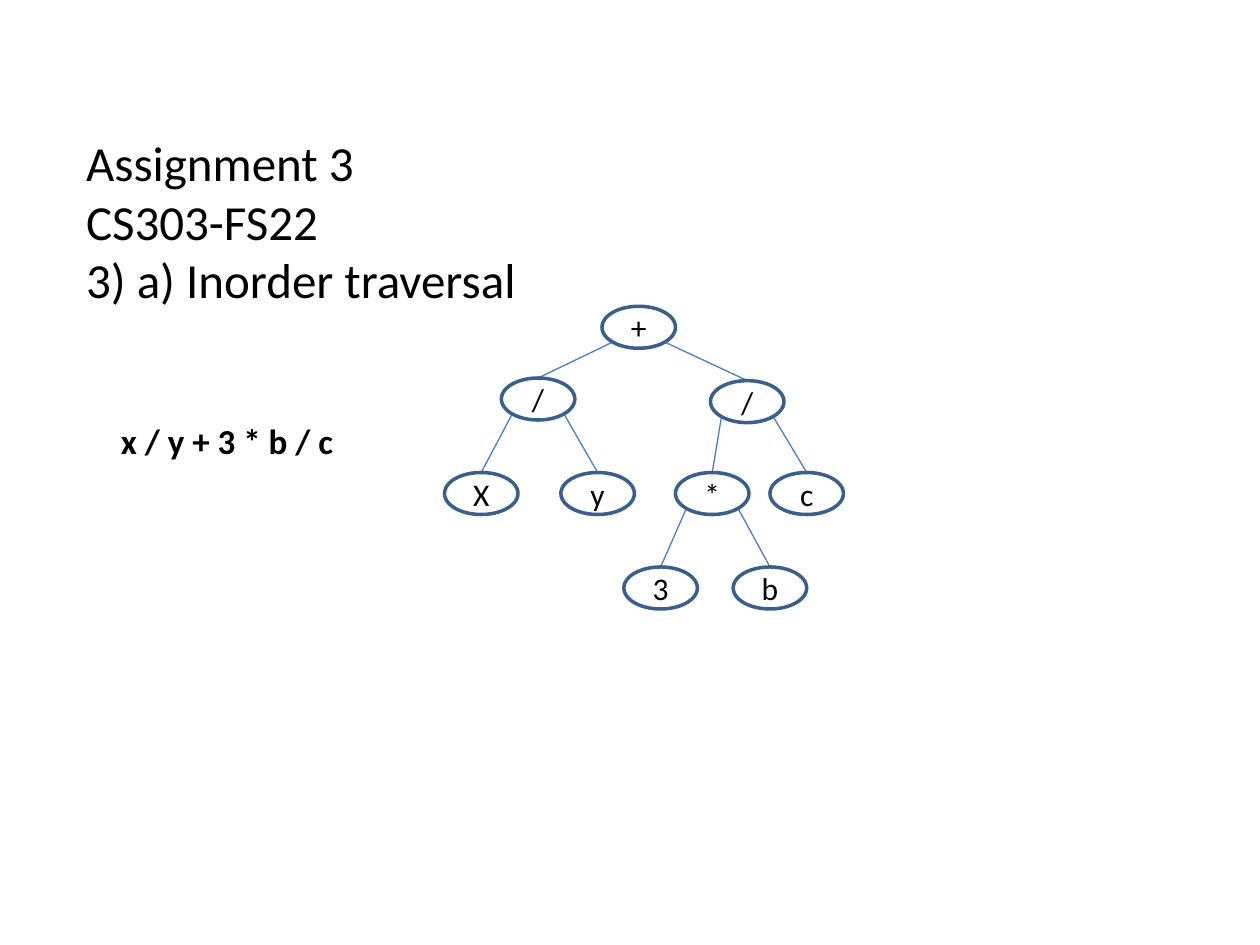
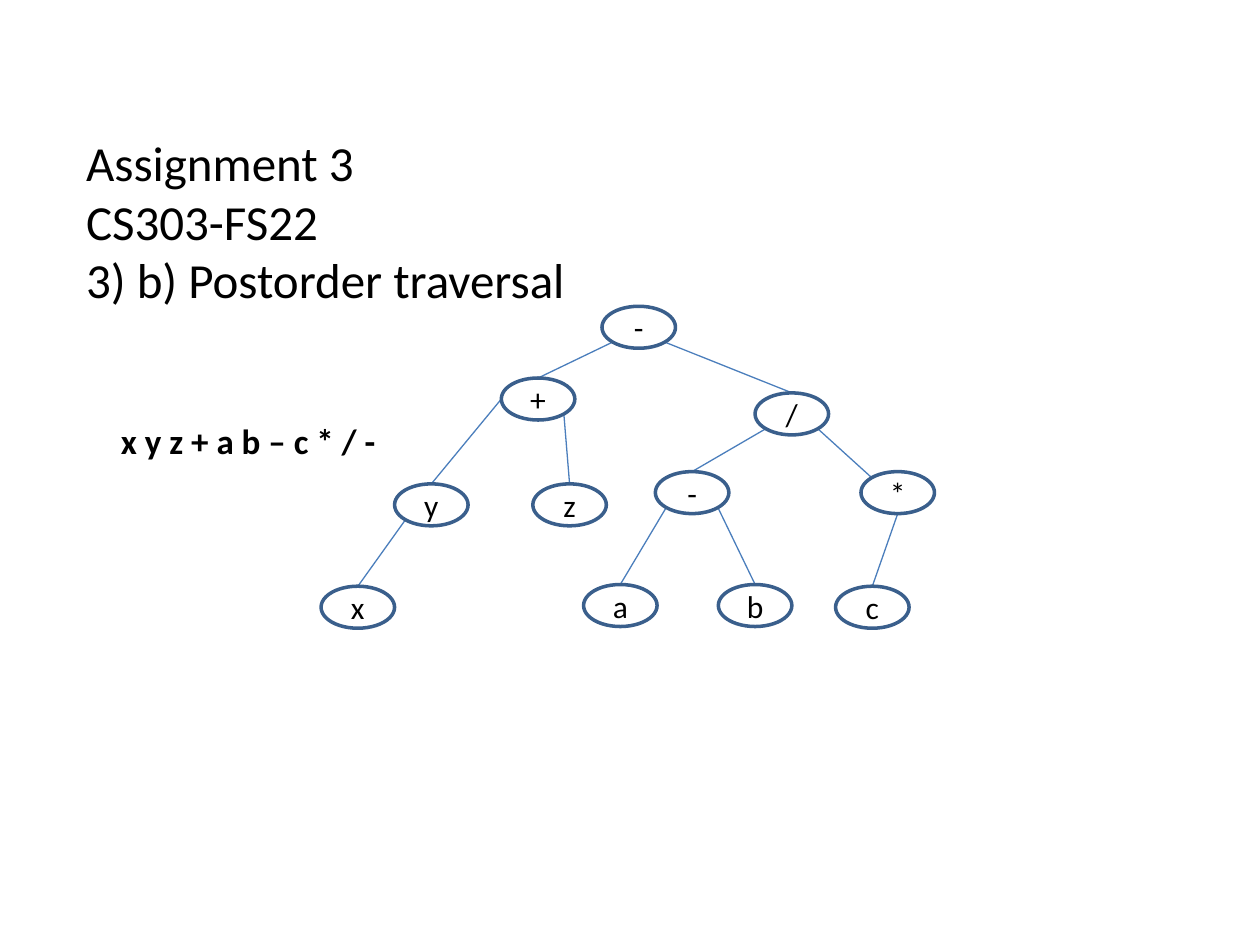
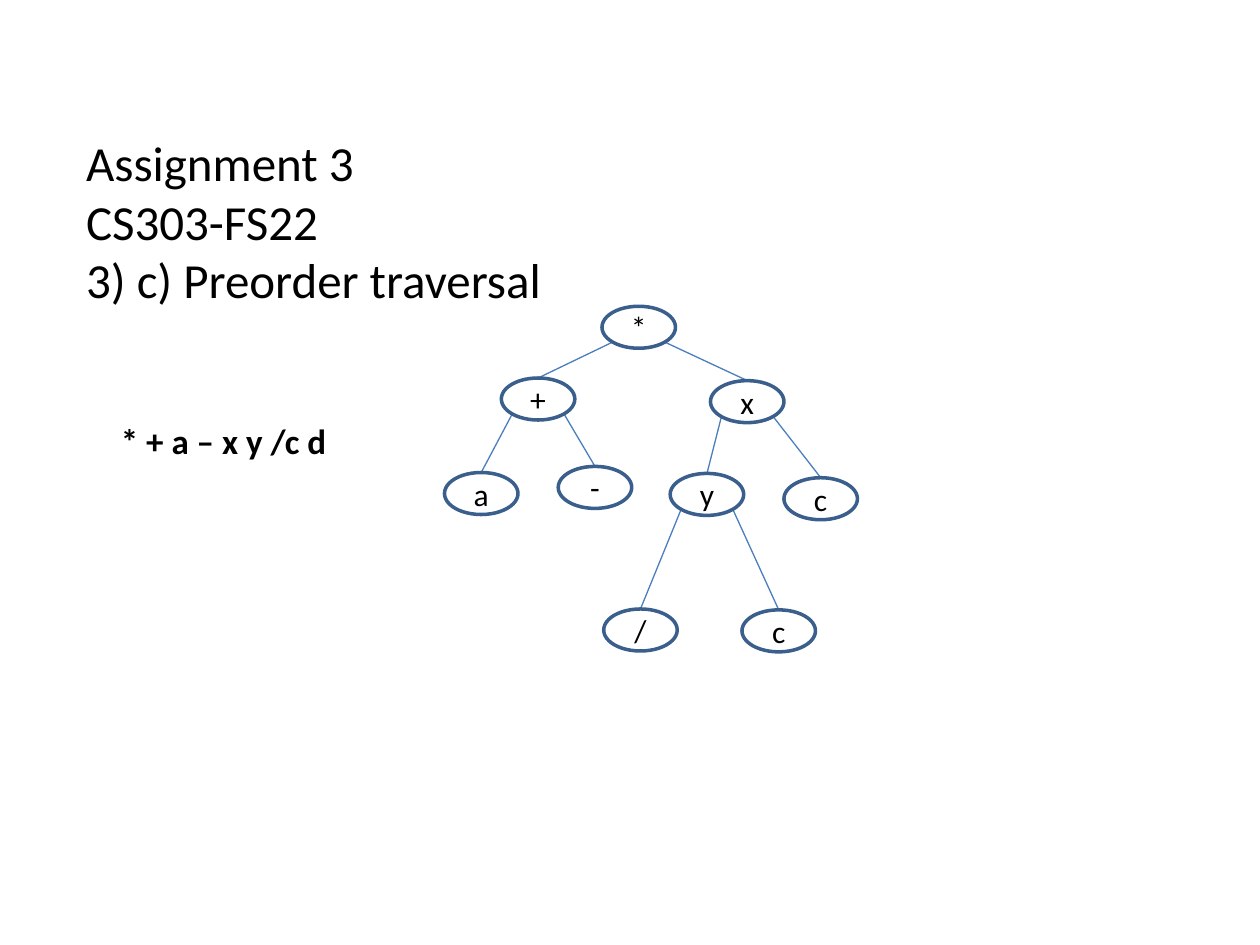
from pptx import Presentation
from pptx.dml.color import RGBColor
from pptx.enum.shapes import MSO_CONNECTOR, MSO_SHAPE
from pptx.enum.text import MSO_ANCHOR, MSO_AUTO_SIZE, PP_ALIGN
from pptx.oxml.ns import qn
from pptx.util import Pt
from lxml import etree

ELLIPSE = MSO_SHAPE.OVAL
STRAIGHT = MSO_CONNECTOR.STRAIGHT
LEFT, CENTER = PP_ALIGN.LEFT, PP_ALIGN.CENTER
TOP, MIDDLE = MSO_ANCHOR.TOP, MSO_ANCHOR.MIDDLE
FIT_SHAPE = MSO_AUTO_SIZE.SHAPE_TO_FIT_TEXT

BLACK = RGBColor(0x00, 0x00, 0x00)
NODE_BLUE = RGBColor(0x3A, 0x5F, 0x8C)
EDGE_BLUE = RGBColor(0x4B, 0x7E, 0xBC)
FONT = "Calibri"
TITLE_ONLY = 5

NODE_WIDTH, NODE_HEIGHT = 42, 24
PORTS = {
    "top": (0.5, 0),
    "upper left": (0.15, 0.15),
    "left": (0, 0.5),
    "lower left": (0.15, 0.85),
    "bottom": (0.5, 1),
    "lower right": (0.85, 0.85),
}

# Each node: label, left, top, parent index, parent port, own port
TREES = [
    ("3) a) Inorder traversal", 263, "x / y + 3 * b / c", 137, [
        ("+", 344, 175, None, None, None),
        ("/", 286.5, 216, 0, "lower left", "top"),
        ("/", 406, 217.5, 0, "lower right", "top"),
        ("X", 254, 270, 1, "lower left", "top"),
        ("y", 320.5, 270, 1, "lower right", "top"),
        ("*", 386, 270, 2, "lower left", "top"),
        ("c", 440, 270, 2, "lower right", "top"),
        ("3", 356.5, 324, 5, "lower left", "top"),
        ("b", 419, 324, 5, "lower right", "top"),
    ]),
    ("3) b) Postorder traversal", 291, "x y z + a b – c * / -", 161, [
        ("-", 344, 175, None, None, None),
        ("+", 286.5, 216, 0, "lower left", "top"),
        ("/", 431.5, 224.5, 0, "lower right", "top"),
        ("y", 225.5, 276.5, 1, "left", "top"),
        ("z", 304.5, 276.5, 1, "lower right", "top"),
        ("-", 374.5, 269.5, 2, "lower left", "top"),
        ("*", 492, 269.5, 2, "lower right", "upper left"),
        ("x", 183.5, 335, 3, "lower left", "top"),
        ("a", 333.5, 334, 5, "lower left", "top"),
        ("b", 410.5, 334, 5, "lower right", "top"),
        ("c", 477.5, 335, 6, "bottom", "top"),
    ]),
    ("3) c) Preorder traversal", 277, "* + a – x y /c d", 133, [
        ("*", 344, 175, None, None, None),
        ("+", 286.5, 216, 0, "lower left", "top"),
        ("x", 406, 217.5, 0, "lower right", "top"),
        ("a", 254, 270, 1, "lower left", "top"),
        ("-", 319, 266.5, 1, "lower right", "top"),
        ("y", 383, 270.5, 2, "lower left", "top"),
        ("c", 448, 273, 2, "lower right", "top"),
        ("/", 345, 348, 5, "lower left", "top"),
        ("c", 424, 348.5, 5, "lower right", "top"),
    ]),
]


def write(shape, lines, size, alignment, anchor, bold=False):
    frame = shape.text_frame
    frame.vertical_anchor = anchor
    for index, line in enumerate(lines):
        paragraph = frame.add_paragraph() if index else frame.paragraphs[0]
        paragraph.alignment = alignment
        run = paragraph.add_run()
        run.text = line
        run.font.name = FONT
        run.font.size = Pt(size)
        run.font.bold = bold
        run.font.color.rgb = BLACK


def port_position(node, port):
    label, left, top = node[:3]
    across, down = PORTS[port]
    return Pt(left + across * NODE_WIDTH), Pt(top + down * NODE_HEIGHT)


presentation = Presentation()
presentation.slide_width = Pt(720)
presentation.slide_height = Pt(540)

for heading, title_width, expression, expression_width, nodes in TREES:
    slide = presentation.slides.add_slide(presentation.slide_layouts[TITLE_ONLY])

    for node in nodes:
        label, left, top, parent, parent_port, own_port = node
        if parent is not None:
            edge = slide.shapes.add_connector(
                STRAIGHT,
                *port_position(nodes[parent], parent_port),
                *port_position(node, own_port),
            )
            edge.line.color.rgb = EDGE_BLUE
            edge.line.width = Pt(0.75)
            properties = edge._element.find(qn("p:spPr"))
            etree.SubElement(properties, qn("a:effectLst"))

    for label, left, top, *link in nodes:
        ellipse = slide.shapes.add_shape(
            ELLIPSE, Pt(left), Pt(top), Pt(NODE_WIDTH), Pt(NODE_HEIGHT))
        ellipse.shadow.inherit = False
        ellipse.fill.background()
        ellipse.line.color.rgb = NODE_BLUE
        ellipse.line.width = Pt(2)
        write(ellipse, [label], 18, CENTER, MIDDLE)

    title = slide.shapes.title
    title.left, title.top = Pt(42), Pt(72)
    title.width, title.height = Pt(title_width), Pt(109)
    title.text_frame.word_wrap = False
    title.text_frame.auto_size = FIT_SHAPE
    write(title, ["Assignment 3", "CS303-FS22", heading], 28, LEFT, TOP)

    answer = slide.shapes.add_textbox(Pt(62), Pt(236), Pt(expression_width), Pt(31.5))
    answer.text_frame.word_wrap = False
    answer.text_frame.auto_size = FIT_SHAPE
    write(answer, [expression], 20, LEFT, TOP, bold=True)

presentation.save("out.pptx")
